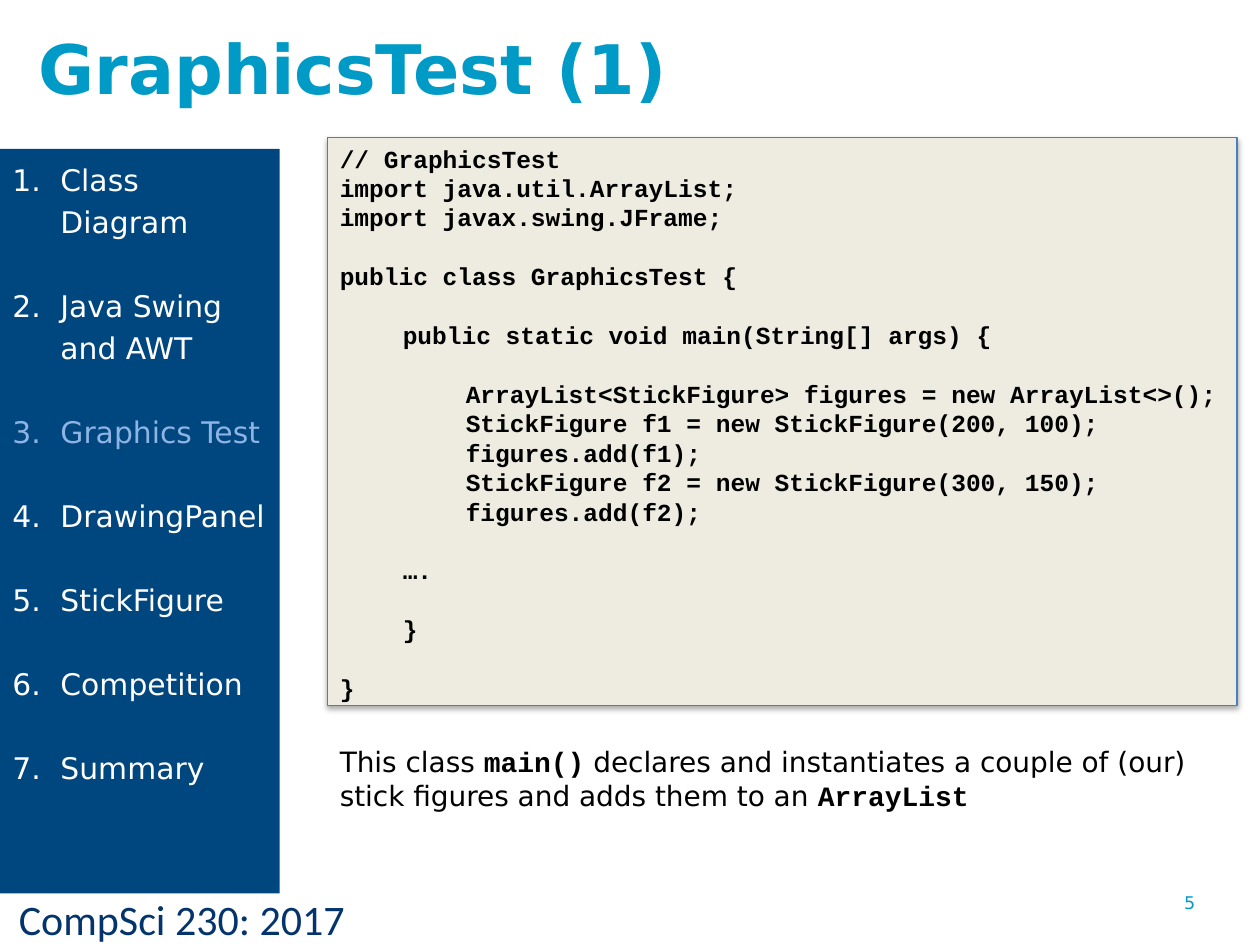
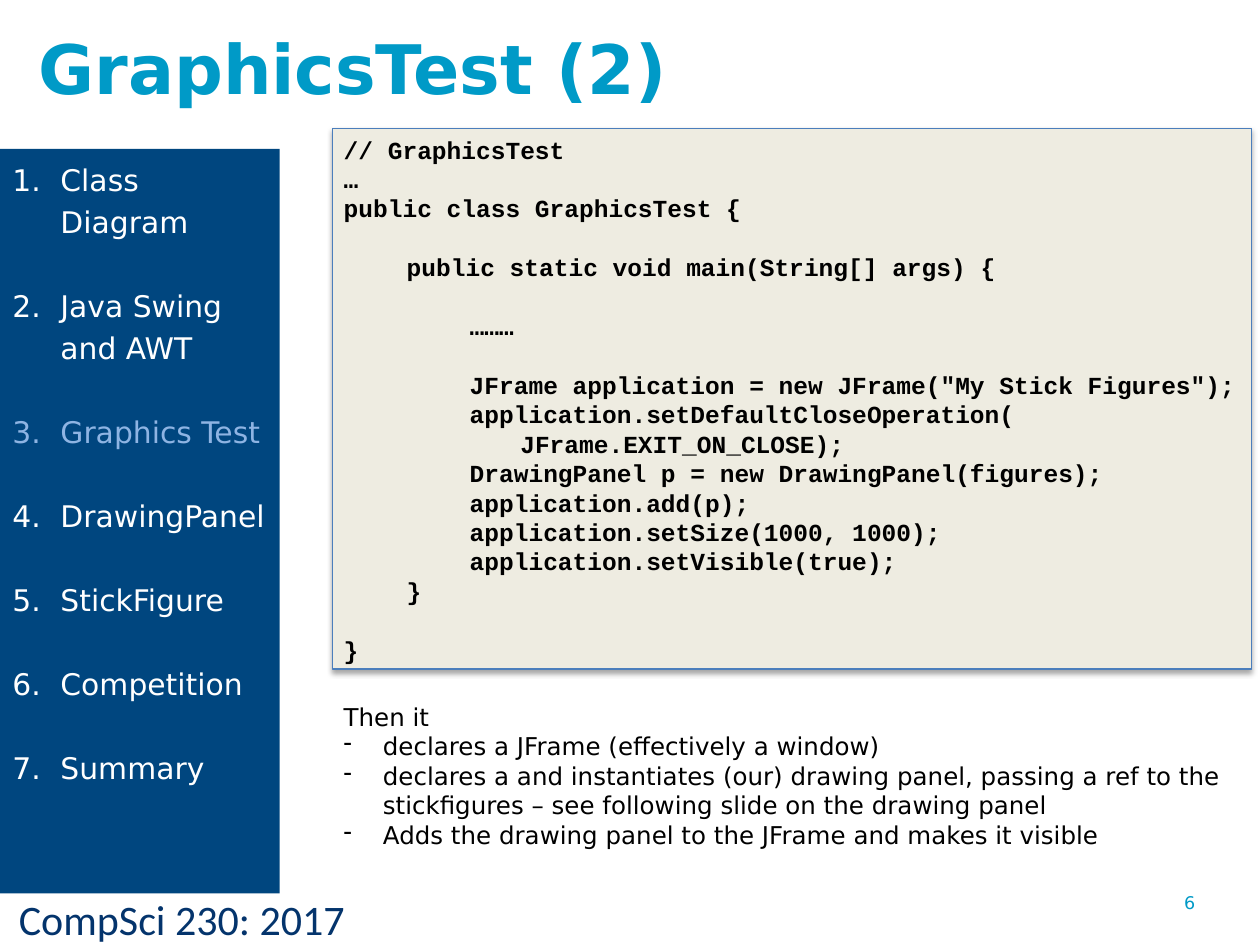
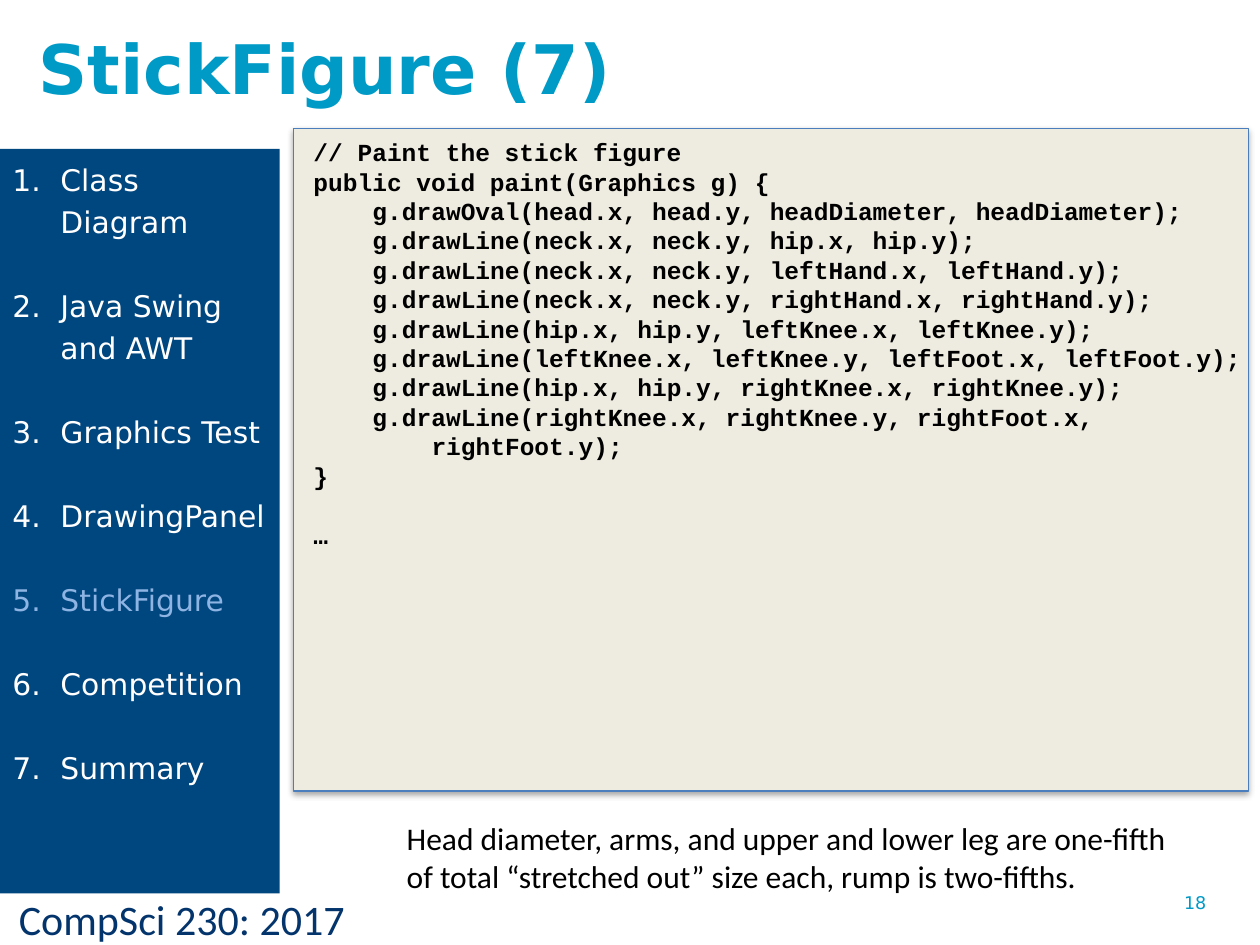
import pptx
import pptx.util
import pptx.dml.color
import pptx.enum.shapes
import pptx.enum.text
import pptx.oxml.ns
from lxml import etree

Cm = pptx.util.Cm
Pt = pptx.util.Pt

# Shared look
SANS, MONO, PLAIN = "DejaVu Sans", "Courier New", "Calibri"
CYAN, NAVY, INK = "009AC7", "00467F", "04346C"
BLACK, WHITE, PALE = "000000", "FFFFFF", "8EB4E3"
CREAM, EDGE = "EEECE1", "4B7EBC"
TOPICS = ["Class Diagram", "Java Swing and AWT", "Graphics Test",
          "DrawingPanel", "StickFigure", "Competition", "Summary"]
PITCH = 16.8  # height of a code line, points

# Code on each slide: a tab is one indent, an empty line is a gap
START = """// GraphicsTest
import java.util.ArrayList;
import javax.swing.JFrame;

public class GraphicsTest {

\tpublic static void main(String[] args) {

\t\tArrayList<StickFigure> figures = new ArrayList<>();
\t\tStickFigure f1 = new StickFigure(200, 100);
\t\tfigures.add(f1);
\t\tStickFigure f2 = new StickFigure(300, 150);
\t\tfigures.add(f2);

\t….

\t}

}"""
FRAME = """// GraphicsTest
…
public class GraphicsTest {

\tpublic static void main(String[] args) {

\t\t………

\t\tJFrame application = new JFrame("My Stick Figures");
\t\tapplication.setDefaultCloseOperation(\vJFrame.EXIT_ON_CLOSE);
\t\tDrawingPanel p = new DrawingPanel(figures);
\t\tapplication.add(p);
\t\tapplication.setSize(1000, 1000);
\t\tapplication.setVisible(true);
\t}

}"""
PAINT = """// Paint the stick figure
public void paint(Graphics g) {
\tg.drawOval(head.x, head.y, headDiameter, headDiameter);
\tg.drawLine(neck.x, neck.y, hip.x, hip.y);
\tg.drawLine(neck.x, neck.y, leftHand.x, leftHand.y);
\tg.drawLine(neck.x, neck.y, rightHand.x, rightHand.y);
\tg.drawLine(hip.x, hip.y, leftKnee.x, leftKnee.y);
\tg.drawLine(leftKnee.x, leftKnee.y, leftFoot.x, leftFoot.y);
\tg.drawLine(hip.x, hip.y, rightKnee.x, rightKnee.y);
\tg.drawLine(rightKnee.x, rightKnee.y, rightFoot.x,
\t\trightFoot.y);
}

…"""


def paint(target, color):
    """Give a fill, or the colour of a font, its RGB value."""
    if hasattr(target, "solid"):
        target.solid()
        target = target.fore_color
    target.rgb = pptx.dml.color.RGBColor.from_string(color)


def add_tag(parent, tag, **attrs):
    node = etree.SubElement(parent, pptx.oxml.ns.qn(tag))
    for name, value in attrs.items():
        node.set(name, str(value))
    return node


def add_run(para, text, font, size, color=BLACK, bold=False):
    """Add text to a paragraph; a vertical tab breaks the line."""
    for i, part in enumerate(text.split("\v")):
        if i:
            para.add_line_break()
        run = para.add_run()
        run.text = part
        run.font.name = font
        run.font.size = Pt(size)
        run.font.bold = bold
        paint(run.font.color, color)


def add_para(frame, line=None, gap=0, left=0, hang=0):
    """Use the empty first paragraph, or add the next one."""
    para = frame.paragraphs[0]
    if para.runs:
        para = frame.add_paragraph()
    para.alignment = pptx.enum.text.PP_ALIGN.LEFT
    para.space_before = Pt(gap)
    if line:
        para.line_spacing = Pt(line)
    props = para._p.get_or_add_pPr()
    props.set("marL", str(Cm(left)))
    props.set("indent", str(-Cm(hang)))
    return para


def add_box(slide, place, wrap=True):
    frame = slide.shapes.add_textbox(*map(Cm, place)).text_frame
    frame.word_wrap = wrap
    return frame


def add_rect(slide, place, color):
    rect = slide.shapes.add_shape(
        pptx.enum.shapes.MSO_SHAPE.RECTANGLE, *map(Cm, place))
    rect.shadow.inherit = False
    paint(rect.fill, color)
    rect.line.fill.background()
    return rect


def add_label(slide, place, text, *style, wrap=True):
    frame = add_box(slide, place, wrap)
    add_run(add_para(frame), text, *style)
    return frame


def add_panel(slide, place):
    """Cream panel behind the code, with a soft shadow below."""
    panel = add_rect(slide, place, CREAM)
    paint(panel.line.fill, EDGE)
    panel.line.width = Pt(0.75)
    effects = panel._element.spPr.find(pptx.oxml.ns.qn("a:effectLst"))
    shadow = add_tag(effects, "a:outerShdw", blurRad=Pt(3.1), dist=Pt(1.8),
                     dir=5400000, rotWithShape=0)
    color = add_tag(shadow, "a:srgbClr", val=BLACK)
    add_tag(color, "a:alpha", val=35000)


def add_code(slide, place, code, step=1.27):
    frame = add_box(slide, place)
    gap = 0
    for line in code.split("\n"):
        text = line.lstrip("\t")
        if not text:
            gap += PITCH
            continue
        left = step * (len(line) - len(text))
        hang = 1.02 if "\v" in text else 0
        para = add_para(frame, PITCH, gap, left + hang, hang)
        add_run(para, text, MONO, 14, BLACK, True)
        gap = 0
    return frame


def add_menu(slide, active):
    """Numbered topics at the left, with the active one dimmed."""
    menu = add_rect(slide, (0, 3, 5.64, 15.01), NAVY)
    frame = menu.text_frame
    frame.word_wrap = True
    frame.vertical_anchor = pptx.enum.text.MSO_ANCHOR.TOP
    for i, topic in enumerate(TOPICS):
        para = add_para(frame, 24, 24 if i else 0, 0.97, 0.97)
        add_tag(para._p.get_or_add_pPr(), "a:buAutoNum", type="arabicPeriod")
        add_run(para, topic, SANS, 17, PALE if topic == active else WHITE)


def add_page(deck, title, number, active, panel, body, code, step=1.27):
    """Build one slide and return it with the frame of its code."""
    slide = deck.slides.add_slide(deck.slide_layouts[6])
    add_label(slide, (0.13, 17.88, 10.29, 1.27), "CompSci 230: 2017",
              PLAIN, 24, INK)
    add_panel(slide, panel)
    add_label(slide, (23.62, 17.86, 1.78, 1.32), str(number), SANS, 10, CYAN)
    frame = add_code(slide, body, code, step)
    head = add_label(slide, (0.53, 0.36, 18.11, 1.98), title,
                     SANS, 39, CYAN, True)
    head.vertical_anchor = pptx.enum.text.MSO_ANCHOR.MIDDLE
    add_menu(slide, active)
    return slide, frame


def main():
    deck = pptx.Presentation()
    deck.slide_width, deck.slide_height = Cm(25.4), Cm(19.05)

    # Start of the main class
    slide, frame = add_page(
        deck, "GraphicsTest (1)", 5, "Graphics Test",
        (6.6, 2.77, 18.34, 11.46), (6.6, 2.77, 18.52, 14.73), START)
    para = add_para(frame, 19.2, 24)
    for text, code in [
            ("This class ", False), ("main()", True),
            (" declares and instantiates a couple of (our) stick figures "
             "and adds them to an ", False), ("ArrayList", True)]:
        add_run(para, text, MONO if code else SANS, 16, BLACK, code)

    # Window and drawing panel
    slide, frame = add_page(
        deck, "GraphicsTest (2)", 6, "Graphics Test",
        (6.71, 2.59, 18.52, 10.9), (6.68, 2.59, 18.54, 14.73), FRAME)
    add_run(add_para(frame, 24, 14.4), "Then it", SANS, 14)
    for text in [
            "declares a JFrame (effectively a window)",
            "declares a and instantiates (our) drawing panel, passing a ref "
            "to the stickfigures – see following slide on the drawing panel",
            "Adds the drawing panel to the JFrame and makes it visible"]:
        para = add_para(frame, PITCH, 0, 0.79, 0.79)
        add_tag(para._p.get_or_add_pPr(), "a:buChar", char="-")
        add_run(para, text, SANS, 14)

    # Painting the figure
    slide, frame = add_page(
        deck, "StickFigure (7)", 18, "StickFigure",
        (5.92, 2.59, 19.25, 13.36), (6.07, 2.64, 19.33, 14.83), PAINT, 1.19)
    add_label(slide, (7.95, 16.38, 16.18, 1.8),
              "Head diameter, arms, and upper and lower leg are one-fifth\v"
              "of total “stretched out” size each, rump is two-fifths.",
              PLAIN, 18, wrap=False)

    deck.save("out.pptx")


main()
